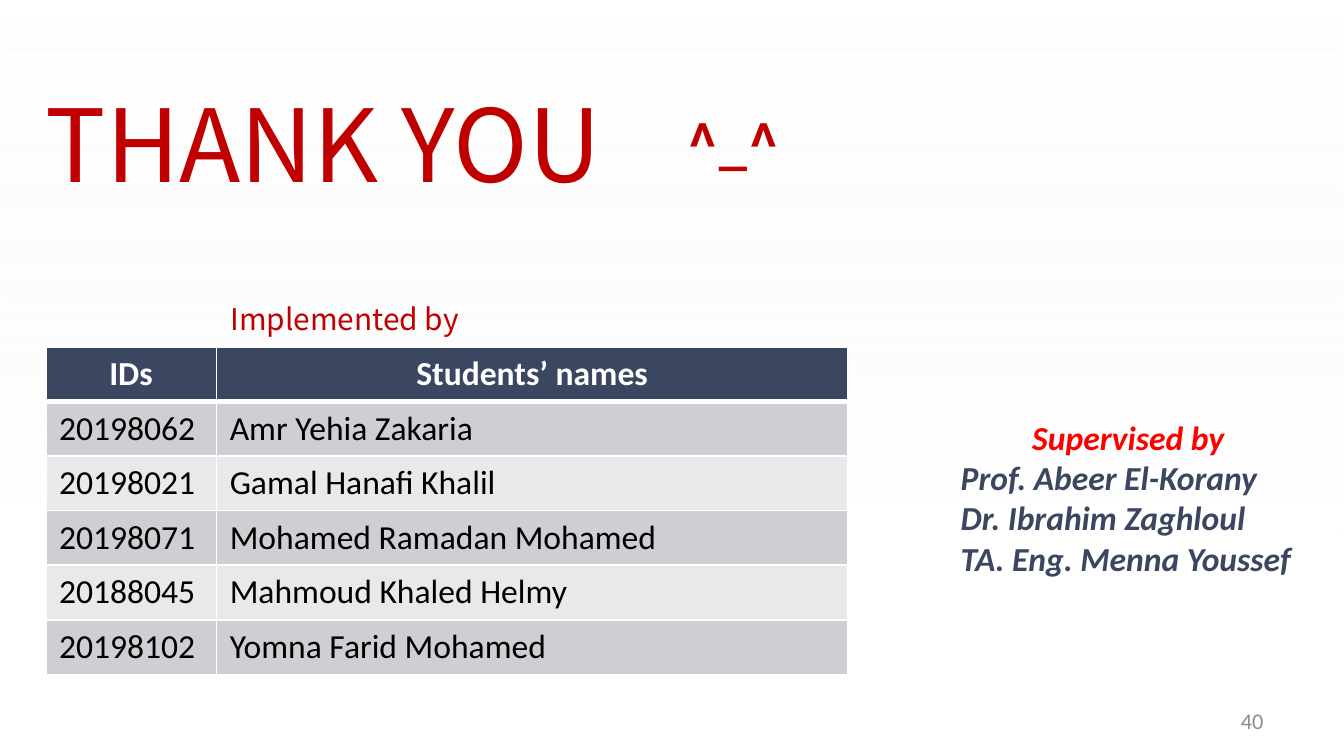
"""Build the closing thank-you slide with the team table and supervisors."""
from lxml import etree
from pptx import Presentation
from pptx import util as u
from pptx.dml.color import RGBColor
from pptx.enum import shapes, text
from pptx.oxml import parse_xml
from pptx.oxml.ns import nsdecls, qn

THEME = {
    "display": "Noto Sans CJK SC", "body": "Calibri",
    "title": 54, "smile": 28, "caption": 16, "text": 18, "number": 12,
    "crimson": "C00000", "red": "FF0000", "navy": "3B4761", "gray": "8C8C8C",
    "white": "FFFFFF", "black": "000000", "haze": "F2F2F2",
    "bands": ("CECFD2", "E8E9EA"),
}
LEFT, CENTER, RIGHT = text.PP_ALIGN.LEFT, text.PP_ALIGN.CENTER, text.PP_ALIGN.RIGHT

TEAM = [
    ("IDs", "Students’ names"),
    ("20198062", "Amr Yehia Zakaria"),
    ("20198021", "Gamal Hanafi Khalil"),
    ("20198071", "Mohamed Ramadan Mohamed"),
    ("20188045", "Mahmoud Khaled Helmy"),
    ("20198102", "Yomna Farid Mohamed"),
]
SUPERVISORS = ["Prof. Abeer El-Korany", "Dr. Ibrahim Zaghloul", "TA. Eng. Menna Youssef"]

TITLE = {"size": "title", "color": "crimson", "face": "display"}
SMILE = {"size": "smile", "color": "crimson", "face": "display", "bold": True}
CAPTION = {"size": "caption", "color": "crimson", "face": "display", "align": CENTER}
NUMBER = {"size": "number", "color": "gray", "align": RIGHT}
LEAD = {"color": "red", "bold": True, "italic": True, "align": CENTER}
PERSON = {"color": "navy", "bold": True, "italic": True}
HEAD = {"color": "white", "bold": True, "align": CENTER}
ENTRY = {"color": "black"}

BOXES = [
    {"area": (3.4, 10.84, 50.5, 16.18), "lines": [("THANK YOU", TITLE)], "inset": False},
    {"area": (71.7, 92.65, 23.3, 5.33), "lines": [("40", NUMBER)],
     "anchor": text.MSO_ANCHOR.MIDDLE},
    {"area": (50.2, 13.87, 22.8, 10.13), "lines": [("^_^", SMILE)]},
    {"area": (0.4, 39.82, 50.5, 4.8), "lines": [("Implemented by", CAPTION)], "inset": False},
    {"area": (70.5, 54.22, 26.9, 28.8), "wrap": False,
     "lines": [("Supervised by", LEAD)] + [(name, PERSON) for name in SUPERVISORS]},
]
TABLE_AREA = (3.4, 45.9, 59.7, 43.3)
COLUMN_SHARES = (12.7, 47)
VEIL_STOPS = [("white", 0, 55), ("haze", 0.71, 0)]

deck = Presentation()
deck.slide_width = u.Inches(10)
deck.slide_height = deck.slide_width * 9 // 16
page = deck.slides.add_slide(deck.slide_layouts[6])


def place(area):
    """Turn percentages of the slide into lengths."""
    sides = (deck.slide_width, deck.slide_height) * 2
    return [round(share * side / 100) for share, side in zip(area, sides)]


def write(para, words, color, size="text", face="body", bold=False, italic=False, align=LEFT):
    """Fill one paragraph and style it."""
    para.text, para.alignment = words, align
    font = para.font
    font.name, font.size = THEME[face], u.Pt(THEME[size])
    font.bold, font.italic = bold, italic
    font.color.rgb = RGBColor.from_string(THEME[color])


def add_backdrop():
    """Cover the slide with a faint vertical gradient."""
    veil = page.shapes.add_shape(shapes.MSO_SHAPE.RECTANGLE, *place((0, 0, 100, 100)))
    veil.shadow.inherit = False
    veil.line.fill.background()
    veil.fill.gradient()
    veil.fill.gradient_angle = 270
    for stop, (color, position, _) in zip(veil.fill.gradient_stops, VEIL_STOPS):
        stop.color.rgb = RGBColor.from_string(THEME[color])
        stop.position = position
    marks = veil.element.spPr.iter(qn("a:srgbClr"))
    for mark, (_, _, opacity) in zip(marks, VEIL_STOPS):
        etree.SubElement(mark, qn("a:alpha")).set("val", str(opacity * 1000))


def add_box(area, lines, inset=True, wrap=True, anchor=text.MSO_ANCHOR.TOP):
    """Add a text box with one styled paragraph per line."""
    frame = page.shapes.add_textbox(*place(area)).text_frame
    frame.word_wrap, frame.vertical_anchor = wrap, anchor
    if not inset:
        frame.margin_left = frame.margin_top = frame.margin_right = frame.margin_bottom = 0
    for index, (words, style) in enumerate(lines):
        write(frame.add_paragraph() if index else frame.paragraphs[0], words, **style)


def add_borders(cell, header):
    """Draw white cell borders, heavier below the header."""
    for side in "LRTB":
        width = u.Pt(3 if header and side == "B" else 1)
        cell._tc.get_or_add_tcPr().append(parse_xml(
            f'<a:ln{side} {nsdecls("a")} w="{width}"><a:solidFill>'
            f'<a:srgbClr val="{THEME["white"]}"/></a:solidFill></a:ln{side}>'))


def add_team():
    """Add the table of student numbers and names."""
    table = page.shapes.add_table(len(TEAM), len(COLUMN_SHARES), *place(TABLE_AREA)).table
    for column, share in zip(table.columns, COLUMN_SHARES):
        column.width = round(deck.slide_width * share / 100)
    for row, values in enumerate(TEAM):
        fill = THEME["bands"][(row - 1) % 2] if row else THEME["navy"]
        for col, words in enumerate(values):
            cell = table.cell(row, col)
            add_borders(cell, row == 0)
            cell.fill.solid()
            cell.fill.fore_color.rgb = RGBColor.from_string(fill)
            write(cell.text_frame.paragraphs[0], words, **(ENTRY if row else HEAD))


add_backdrop()
for box in BOXES:
    add_box(**box)
add_team()
deck.save("out.pptx")
